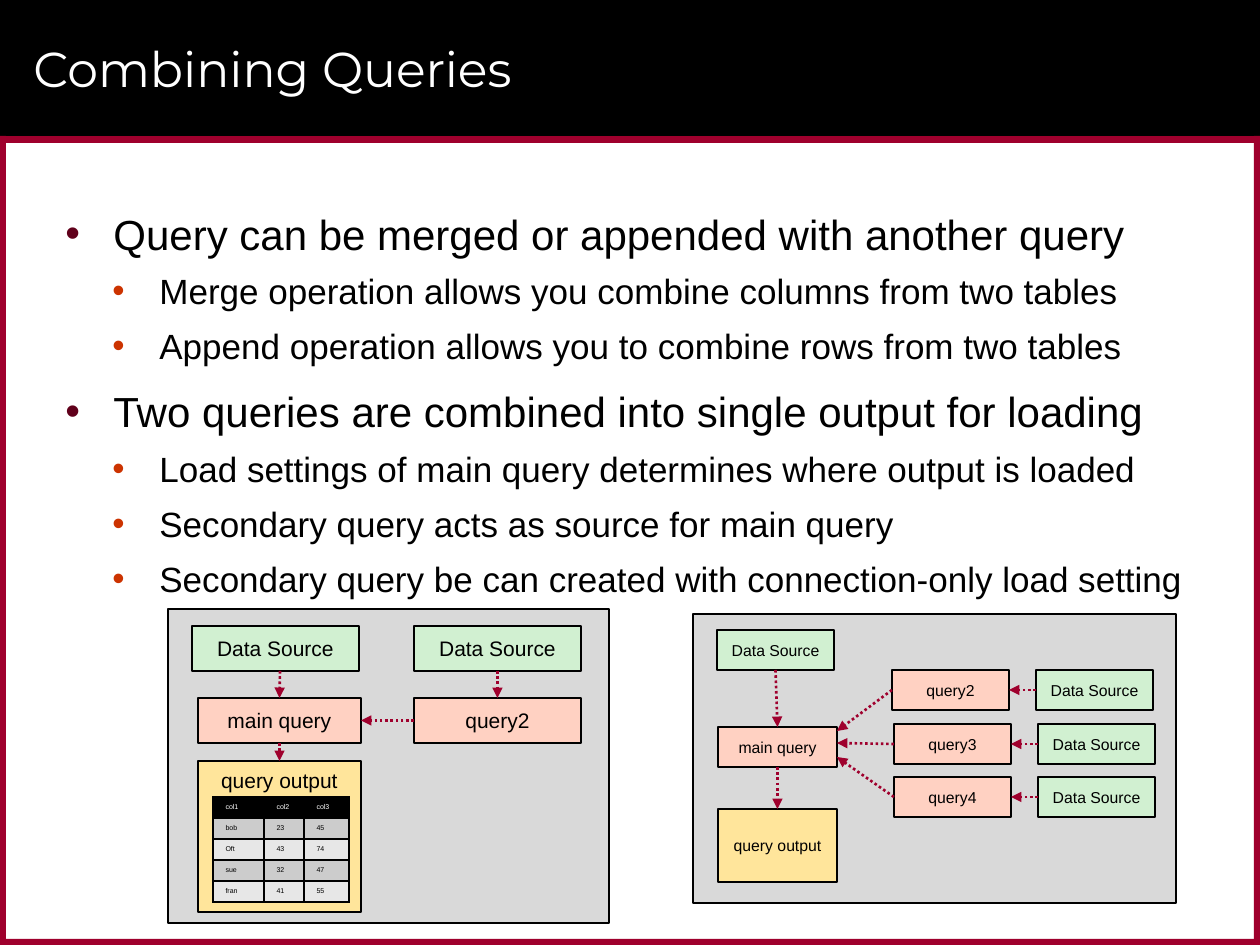
from lxml import etree
from pptx import Presentation
from pptx.dml.color import RGBColor
from pptx.enum.dml import MSO_LINE
from pptx.enum.shapes import MSO_CONNECTOR, MSO_SHAPE
from pptx.enum.text import MSO_ANCHOR, PP_ALIGN
from pptx.oxml.ns import qn
from pptx.util import Emu, Pt

BLACK = RGBColor(0x00, 0x00, 0x00)
WHITE = RGBColor(0xFF, 0xFF, 0xFF)
CRIMSON = RGBColor(0x9F, 0x00, 0x2D)
MAROON = RGBColor(0x60, 0x00, 0x1B)
RUST = RGBColor(0xCC, 0x33, 0x00)
PANEL_GRAY = RGBColor(0xD9, 0xD9, 0xD9)
SOURCE_GREEN = RGBColor(0xD1, 0xF0, 0xD1)
QUERY_PINK = RGBColor(0xFF, 0xD1, 0xC2)
OUTPUT_YELLOW = RGBColor(0xFF, 0xE5, 0x9B)
BAND_DARK = RGBColor(0xCC, 0xCC, 0xCC)
BAND_LIGHT = RGBColor(0xE7, 0xE7, 0xE7)

RECT = MSO_SHAPE.RECTANGLE
STRAIGHT = MSO_CONNECTOR.STRAIGHT
DOTTED = MSO_LINE.ROUND_DOT
TOP, MIDDLE = MSO_ANCHOR.TOP, MSO_ANCHOR.MIDDLE
CENTER = PP_ALIGN.CENTER
TOP_SIDE, LEFT_SIDE, BOTTOM_SIDE, RIGHT_SIDE = range(4)
BODY_FONT, TITLE_FONT = "Arial", "Montserrat"

BULLET_STYLES = [
    dict(size=24, before=6, after=2, margin=48, hang=48, color=MAROON),
    dict(size=20, before=3, after=3, margin=94, hang=47, color=RUST),
]
BULLETS = [
    (0, "Query can be merged or appended with another query"),
    (1, "Merge operation allows you combine columns from two tables"),
    (1, "Append operation allows you to combine rows from two tables"),
    (0, "Two queries are combined into single output for loading"),
    (1, "Load settings of main query determines where output is loaded"),
    (1, "Secondary query acts as source for main query"),
    (1, "Secondary query be can created with connection-only load setting"),
]
OUTPUT_ROWS = [
    ("col1", "col2", "col3"),
    ("bob", "23", "45"),
    ("Oft", "43", "74"),
    ("sue", "32", "47"),
    ("fran", "41", "55"),
]


def px(length):
    return Emu(round(length * 914400 / 126))


def add_child(parent, tag, **attributes):
    return etree.SubElement(parent, qn(tag), attributes)


class Deck:
    def __init__(self):
        self.presentation = Presentation()
        self.presentation.slide_width = px(1260)
        self.presentation.slide_height = px(945)
        blank = self.presentation.slide_layouts[6]
        self.shapes = self.presentation.slides.add_slide(blank).shapes

    def run(self, paragraph, text, size, color=BLACK, font=BODY_FONT):
        run = paragraph.add_run()
        run.text = text
        run.font.size = Pt(size)
        run.font.name = font
        run.font.color.rgb = color

    def rect(self, x, y, w, h, fill, line_width=0):
        shape = self.shapes.add_shape(RECT, px(x), px(y), px(w), px(h))
        shape.shadow.inherit = False
        shape.fill.solid()
        shape.fill.fore_color.rgb = fill
        if line_width:
            shape.line.color.rgb = BLACK
            shape.line.width = Pt(line_width)
        else:
            shape.line.fill.background()
        return shape

    def node(self, text, x, y, w, h, fill, size, anchor=MIDDLE):
        shape = self.rect(x, y, w, h, fill, 0.75)
        shape.text_frame.vertical_anchor = anchor
        paragraph = shape.text_frame.paragraphs[0]
        paragraph.alignment = CENTER
        self.run(paragraph, text, size)
        return shape

    def text_box(self, x, y, w, h, anchor):
        frame = self.shapes.add_textbox(px(x), px(y), px(w), px(h)).text_frame
        frame.word_wrap = True
        frame.vertical_anchor = anchor
        return frame

    def title(self, text, x, y, w, h):
        frame = self.text_box(x, y, w, h, MIDDLE)
        self.run(frame.paragraphs[0], text, 28, WHITE, TITLE_FONT)

    def bullets(self, items, x, y, w, h):
        frame = self.text_box(x, y, w, h, TOP)
        for index, (level, text) in enumerate(items):
            style = BULLET_STYLES[level]
            paragraph = frame.add_paragraph() if index else frame.paragraphs[0]
            paragraph.level = level
            paragraph.line_spacing = 1.06
            paragraph.space_before = Pt(style["before"])
            paragraph.space_after = Pt(style["after"])
            self.run(paragraph, text, style["size"])
            properties = paragraph._p.get_or_add_pPr()
            properties.set("marL", str(px(style["margin"])))
            properties.set("indent", str(-px(style["hang"])))
            bullet_color = add_child(properties, "a:buClr")
            add_child(bullet_color, "a:srgbClr", val=str(style["color"]))
            add_child(properties, "a:buFont", typeface=BODY_FONT)
            add_child(properties, "a:buChar", char="•")

    def arrow(self, x1=0, y1=0, x2=0, y2=0):
        arrow = self.shapes.add_connector(STRAIGHT, px(x1), px(y1), px(x2), px(y2))
        arrow.line.color.rgb = CRIMSON
        arrow.line.width = Pt(1.5)
        arrow.line.dash_style = DOTTED
        add_child(arrow.line._get_or_add_ln(), "a:tailEnd", type="triangle")
        add_child(arrow._element.spPr, "a:effectLst")
        return arrow

    def link(self, origin, origin_side, target, target_side):
        arrow = self.arrow()
        arrow.begin_connect(origin, origin_side)
        arrow.end_connect(target, target_side)

    def table(self, rows, x, y, widths, row_height):
        frame = self.shapes.add_table(len(rows), len(widths), px(x), px(y),
                                      px(sum(widths)), px(row_height * len(rows)))
        table = frame.table
        for column, width in zip(table.columns, widths):
            column.width = px(width)
        for r, values in enumerate(rows):
            table.rows[r].height = px(row_height)
            fill = (BAND_DARK if r % 2 else BAND_LIGHT) if r else BLACK
            for c, value in enumerate(values):
                cell = table.cell(r, c)
                self.run(cell.text_frame.paragraphs[0], value, 4, BLACK if r else WHITE)
                self.borders(cell)
                cell.fill.solid()
                cell.fill.fore_color.rgb = fill

    def borders(self, cell):
        properties = cell._tc.get_or_add_tcPr()
        for side in ("a:lnL", "a:lnR", "a:lnT", "a:lnB"):
            border = add_child(properties, side, w=str(Pt(1)))
            add_child(add_child(border, "a:solidFill"), "a:srgbClr", val=str(BLACK))


def merge_diagram(deck):
    deck.rect(168, 609, 441, 314, PANEL_GRAY, 1)
    output = deck.node("query output", 198, 761, 163, 151, OUTPUT_YELLOW, 12, TOP)
    main_query = deck.node("main query", 198, 698, 163, 45, QUERY_PINK, 12)
    second_query = deck.node("query2", 414, 698, 167, 45, QUERY_PINK, 12)
    deck.node("Data Source", 192, 626, 167, 45, SOURCE_GREEN, 12)
    second_source = deck.node("Data Source", 414, 626, 167, 45, SOURCE_GREEN, 12)
    deck.arrow(280, 671, 280, 698).end_connect(main_query, TOP_SIDE)
    deck.link(main_query, BOTTOM_SIDE, output, TOP_SIDE)
    deck.link(second_source, BOTTOM_SIDE, second_query, TOP_SIDE)
    deck.link(second_query, LEFT_SIDE, main_query, RIGHT_SIDE)
    deck.table(OUTPUT_ROWS, 213, 797, (51, 40, 45), 20)


def append_diagram(deck):
    deck.rect(693, 614, 483, 289, PANEL_GRAY, 1)
    output = deck.node("query output", 718, 809, 119, 73, OUTPUT_YELLOW, 9)
    main_query = deck.node("main query", 718, 727, 119, 40, QUERY_PINK, 9)
    main_source = deck.node("Data Source", 717, 630, 117, 40, SOURCE_GREEN, 9)
    deck.link(main_source, BOTTOM_SIDE, main_query, TOP_SIDE)
    deck.link(main_query, BOTTOM_SIDE, output, TOP_SIDE)
    for name, x, y, arrival in (("query2", 892, 670, 731),
                                ("query3", 894, 724, 743),
                                ("query4", 894, 777, 757)):
        query = deck.node(name, x, y, 117, 40, QUERY_PINK, 9)
        source = deck.node("Data Source", x + 144, y, 117, 40, SOURCE_GREEN, 9)
        deck.link(source, LEFT_SIDE, query, RIGHT_SIDE)
        deck.arrow(x, y + 20, 837, arrival).begin_connect(query, LEFT_SIDE)


def main():
    deck = Deck()
    deck.rect(0, 0, 1260, 136, BLACK)
    for edge in ((0, 136, 1260, 7), (0, 939, 1260, 6), (1254, 136, 6, 809), (0, 136, 6, 809)):
        deck.rect(*edge, CRIMSON)
    deck.title("Combining Queries", 21, 10, 1187, 116)
    deck.bullets(BULLETS, 53, 199, 1155, 714)
    merge_diagram(deck)
    append_diagram(deck)
    deck.presentation.save("out.pptx")


if __name__ == "__main__":
    main()
